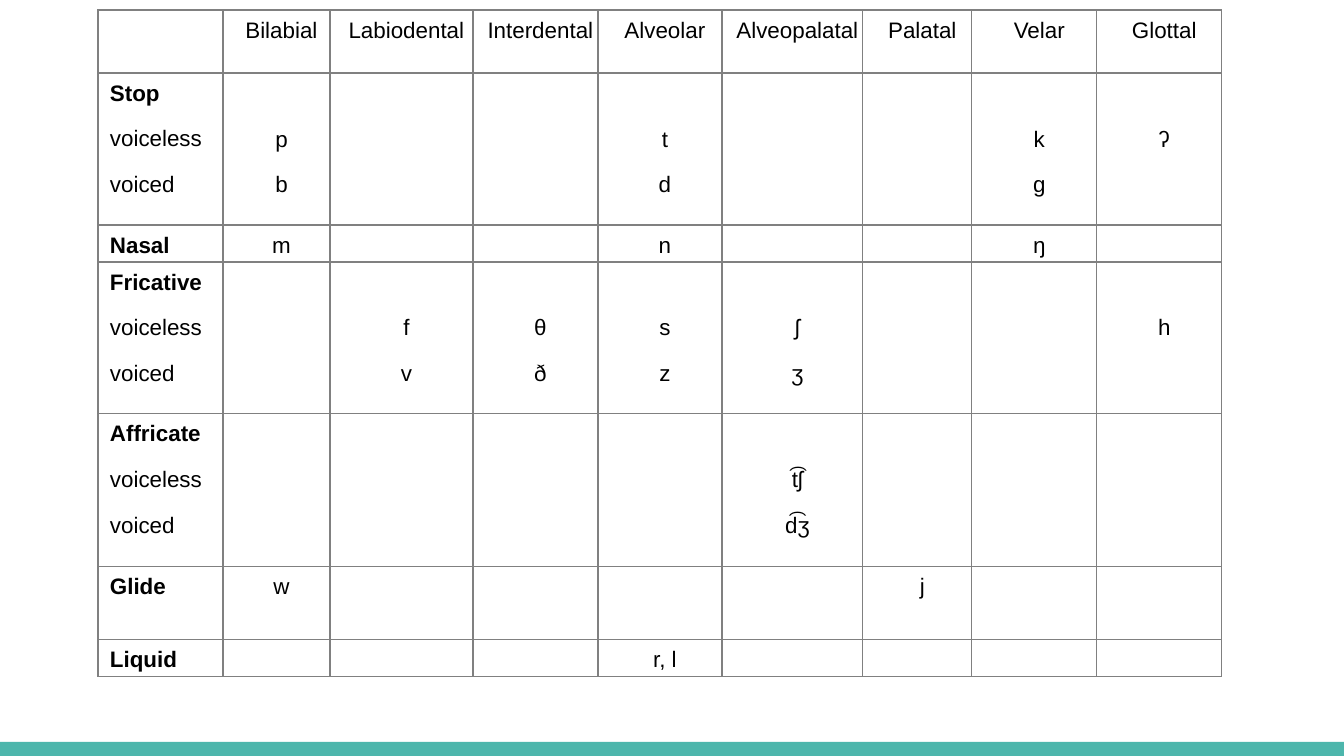
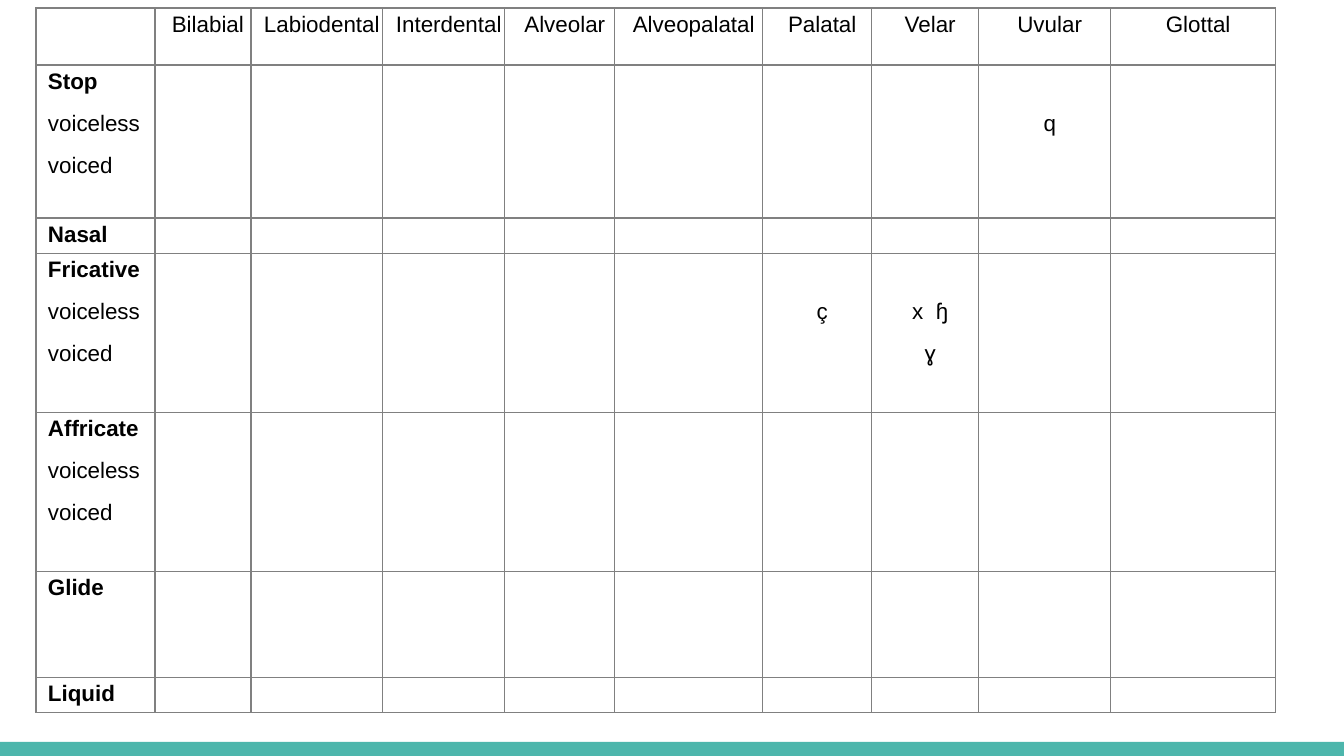
from lxml.etree import SubElement
from pptx import Presentation
from pptx.dml.color import RGBColor
from pptx.enum.shapes import MSO_SHAPE as Shape
from pptx.enum.text import PP_ALIGN as Align
from pptx.oxml.ns import qn
from pptx.util import Pt

PX = 9144000 / 1344
FONT = "Arial"
FONT_SIZE = 12
TEXT = "000000"
WHITE = "FFFFFF"
BORDER = "808080"
TEAL = "4DB6AC"
INSET = 4
RIGHT_INSET = 2
INDENT = 8
SPACE = 9

MANNERS = ["Stop", "Nasal", "Fricative", "Affricate", "Glide", "Liquid"]
VOICED_MANNERS = ["Stop", "Fricative", "Affricate"]

CHARTS = [
    {
        "left": 98, "top": 10, "line_spacing": 1.15, "line_pitch": 46,
        "places": {
            "Bilabial": 107, "Labiodental": 143, "Interdental": 125,
            "Alveolar": 124, "Alveopalatal": 141, "Palatal": 109,
            "Velar": 125, "Glottal": 125,
        },
        "label_width": 125,
        "row_heights": [63, 152, 37, 152, 153, 73, 36],
        "sounds": {
            "Stop": {"Bilabial": ["p", "b"], "Alveolar": ["t", "d"],
                     "Velar": ["k", "g"], "Glottal": ["ʔ"]},
            "Nasal": {"Bilabial": ["m"], "Alveolar": ["n"], "Velar": ["ŋ"]},
            "Fricative": {"Labiodental": ["f", "v"], "Interdental": ["θ", "ð"],
                          "Alveolar": ["s", "z"], "Alveopalatal": ["ʃ", "ʒ"],
                          "Glottal": ["h"]},
            "Affricate": {"Alveopalatal": ["t͡ʃ", "d͡ʒ"]},
            "Glide": {"Bilabial": ["w"], "Palatal": ["j"]},
            "Liquid": {"Alveolar": ["r, l"]},
        },
    },
    {
        "left": 36, "top": 8, "line_spacing": 1.0, "line_pitch": 42,
        "places": {
            "Bilabial": 96, "Labiodental": 132, "Interdental": 122,
            "Alveolar": 110, "Alveopalatal": 148, "Palatal": 109,
            "Velar": 107, "Uvular": 132, "Glottal": 165,
        },
        "label_width": 119,
        "row_heights": [57, 153, 35, 159, 159, 106, 34],
        "sounds": {
            "Stop": {"Uvular": ["q"]},
            "Fricative": {"Palatal": ["ç"], "Velar": ["x  ɧ", "ɣ"]},
        },
    },
]


def px(length):
    return round(length * PX)


def color(value):
    return RGBColor.from_string(value)


presentation = Presentation()
presentation.slide_width = px(1344)
presentation.slide_height = px(756)
blank_layout = presentation.slide_layouts[6]
slides = [presentation.slides.add_slide(blank_layout) for chart in CHARTS]

band = slides[0].shapes.add_shape(Shape.RECTANGLE, 0, px(742), px(1344), px(14))
band.shadow.inherit = False
band.fill.solid()
band.fill.fore_color.rgb = color(TEAL)
band.line.fill.background()
band._element.nvSpPr.cNvPr.set("id", "99")
presentation.slide_master.shapes._spTree.append(band._element)

for slide, chart in zip(slides, CHARTS):
    places = list(chart["places"])
    widths = [chart["label_width"], *chart["places"].values()]
    heights = chart["row_heights"]
    frame = slide.shapes.add_table(
        len(heights), len(widths), px(chart["left"]), px(chart["top"]),
        px(sum(widths)), px(sum(heights)))
    table = frame.table
    table.first_row = False
    table.horz_banding = False
    for column, width in zip(table.columns, widths):
        column.width = px(width)
    for row, height in zip(table.rows, heights):
        row.height = px(height)

    rows = [[[], *([place] for place in places)]]
    for manner in MANNERS:
        voicing = ["voiceless", "voiced"] if manner in VOICED_MANNERS else []
        sounds = chart["sounds"].get(manner, {})
        rows.append([[manner, *voicing], *(sounds.get(place, []) for place in places)])

    for row_index, row_lines in enumerate(rows):
        below_label = row_index > 0 and MANNERS[row_index - 1] in VOICED_MANNERS
        for column_index, lines in enumerate(row_lines):
            cell = table.cell(row_index, column_index)
            is_label = column_index == 0
            cell.margin_left = cell.margin_bottom = px(INSET)
            cell.margin_right = px(RIGHT_INSET)
            drop = chart["line_pitch"] if below_label and lines and not is_label else 0
            cell.margin_top = px(INSET + drop)

            properties = cell._tc.get_or_add_tcPr()
            for side in ("lnL", "lnR", "lnT", "lnB"):
                border = SubElement(properties, qn(f"a:{side}"), w=str(Pt(0.75)))
                fill = SubElement(border, qn("a:solidFill"))
                SubElement(fill, qn("a:srgbClr"), val=BORDER)
            cell.fill.solid()
            cell.fill.fore_color.rgb = color(WHITE)

            cell.text_frame.text = "\n".join(lines)
            for line_index, paragraph in enumerate(cell.text_frame.paragraphs):
                paragraph.alignment = Align.LEFT if is_label else Align.CENTER
                paragraph.line_spacing = chart["line_spacing"]
                if line_index > 0:
                    paragraph.space_before = Pt(SPACE)
                paragraph._p.get_or_add_pPr().set("marL", str(px(INDENT)))
                for run in paragraph.runs:
                    run.font.name = FONT
                    run.font.size = Pt(FONT_SIZE)
                    run.font.bold = is_label and line_index == 0
                    run.font.color.rgb = color(TEXT)
                if not lines:
                    paragraph._p.get_or_add_endParaRPr().set("sz", str(FONT_SIZE * 100))

presentation.save("out.pptx")
